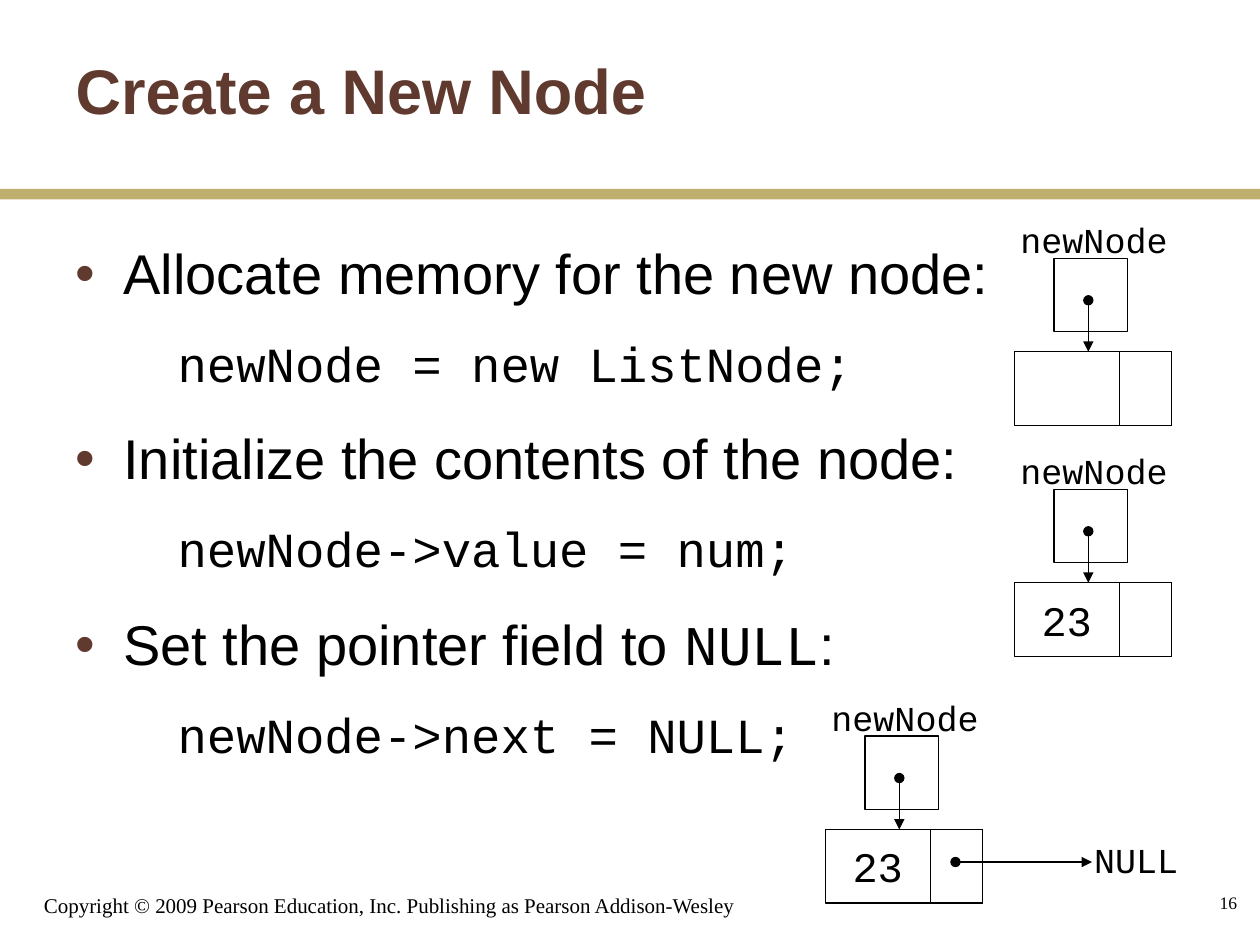
import pptx
import pptx.dml.color
import pptx.enum.shapes
import pptx.enum.text
import pptx.oxml
import pptx.oxml.ns
import pptx.util

COLORS = {"ink": "000000", "brown": "603A2F", "gold": "BFAF6F"}
SANS, MONO, SERIF = "Arial", "Courier New", "Times New Roman"
COLUMNS, ROWS = 120, 90
ALIGN = pptx.enum.text.PP_ALIGN
ANCHOR = pptx.enum.text.MSO_ANCHOR
FIT = pptx.enum.text.MSO_AUTO_SIZE


def color(name):
    return pptx.dml.color.RGBColor.from_string(COLORS[name])


def apply(target, values):
    for name, value in values.items():
        setattr(target, name, value)


def add_xml(parent, tag, content=""):
    namespace = pptx.oxml.ns.nsdecls("a")
    parent.append(pptx.oxml.parse_xml(f"<a:{tag} {namespace} {content}/>"))


class SlideBuilder:
    def __init__(self, deck):
        self.deck = deck
        self.page = deck.slides.add_slide(deck.slide_layouts[1])
        self.shapes = self.page.shapes

    def x(self, columns):
        return round(self.deck.slide_width * columns / COLUMNS)

    def y(self, rows):
        return round(self.deck.slide_height * rows / ROWS)

    def area(self, left, top, width, height):
        return self.x(left), self.y(top), self.x(width), self.y(height)

    def start_group(self):
        self.shapes = self.page.shapes.add_group_shape().shapes

    def end_group(self):
        self.shapes = self.page.shapes

    def add_span(self, para, text, font, size, ink="ink", bold=False):
        span = para.add_run()
        span.text = text
        apply(span.font, {"name": font, "size": pptx.util.Pt(size), "bold": bold})
        span.font.color.rgb = color(ink)

    def place(self, holder, area, anchor):
        apply(holder, dict(zip(("left", "top", "width", "height"), self.area(*area))))
        apply(holder.text_frame, {"vertical_anchor": anchor, "auto_size": FIT.NONE})
        return holder.text_frame

    def title(self, text, area):
        frame = self.place(self.page.shapes.title, area, ANCHOR.MIDDLE)
        para = frame.paragraphs[0]
        para.alignment = ALIGN.LEFT
        self.add_span(para, text, SANS, 36, "brown", True)

    def steps(self, items, area):
        frame = self.place(self.page.placeholders[1], area, ANCHOR.TOP)
        for index, (spans, code) in enumerate(items):
            para = frame.paragraphs[0] if index == 0 else frame.add_paragraph()
            self.format_step(para, 0, 0 if index == 0 else 22, 0.38, -0.38)
            properties = para._p.get_or_add_pPr()
            properties.append(pptx.oxml.parse_xml(
                f'<a:buClr {pptx.oxml.ns.nsdecls("a")}>'
                f'<a:srgbClr val="{COLORS["brown"]}"/></a:buClr>'))
            add_xml(properties, "buChar", 'char="•"')
            for text, font in spans:
                self.add_span(para, text, font, 32)
            para = frame.add_paragraph()
            self.format_step(para, 1, 19.2, 0.81, 0)
            add_xml(para._p.get_or_add_pPr(), "buNone")
            self.add_span(para, code, MONO, 28)

    def format_step(self, para, level, before, margin, indent):
        apply(para, {"level": level, "line_spacing": 0.9,
                     "space_before": pptx.util.Pt(before), "alignment": ALIGN.LEFT})
        properties = para._p.get_or_add_pPr()
        properties.set("marL", str(pptx.util.Inches(margin)))
        properties.set("indent", str(pptx.util.Inches(indent)))

    def label(self, text, area, font=MONO, size=20, spacing=1.0, wrap=False,
              align=ALIGN.CENTER, anchor=ANCHOR.TOP):
        box = self.shapes.add_textbox(*self.area(*area))
        apply(box.text_frame, {"word_wrap": wrap, "vertical_anchor": anchor,
                               "auto_size": FIT.NONE if wrap else FIT.SHAPE_TO_FIT_TEXT})
        para = box.text_frame.paragraphs[0]
        apply(para, {"alignment": align, "line_spacing": spacing})
        self.add_span(para, text, font, size)

    def rectangle(self, area, fill=None):
        box = self.shapes.add_shape(
            pptx.enum.shapes.MSO_SHAPE.RECTANGLE, *self.area(*area))
        box.shadow.inherit = False
        if fill:
            box.fill.solid()
            box.fill.fore_color.rgb = color(fill)
            box.line.fill.background()
        else:
            box.fill.background()
            box.line.color.rgb = color("ink")
            box.line.width = pptx.util.Pt(0.75)

    def pointer(self, left, top, right, bottom):
        arrow = self.shapes.add_connector(
            pptx.enum.shapes.MSO_CONNECTOR.STRAIGHT,
            self.x(left), self.y(top), self.x(right), self.y(bottom))
        arrow.line.color.rgb = color("ink")
        arrow.line.width = pptx.util.Pt(0.75)
        line = arrow.line._get_or_add_ln()
        add_xml(line, "headEnd", 'type="oval"')
        add_xml(line, "tailEnd", 'type="triangle"')
        add_xml(arrow._element.spPr, "effectLst")

    def node(self, left, top, value=None, successor=None):
        self.start_group()
        node_top = top + 12.5
        self.rectangle((left + 4.4, top + 3.6, 7, 7))
        self.rectangle((left + 0.6, node_top, 15, 7))
        self.rectangle((left + 10.6, node_top, 5, 7))
        self.pointer(left + 7.65, top + 7.6, left + 7.65, node_top)
        self.label("newNode", (left, top, 16.4, 4.4), spacing=0.8)
        if value:
            self.label(value, (left + 2, node_top + 0.5, 7.2, 6), size=24)
        if successor:
            middle = node_top + 3.1
            self.pointer(left + 13, middle, left + 26, middle)
            self.label(successor, (left + 25, middle - 3.6, 10.4, 6), spacing=1.2)
        self.end_group()


def main():
    deck = pptx.Presentation()
    deck.slide_width = pptx.util.Inches(10)
    deck.slide_height = pptx.util.Inches(7.5)
    builder = SlideBuilder(deck)

    builder.rectangle((0, 18, 120, 1), "gold")
    builder.title("Create a New Node", (6, 1, 100, 15))
    builder.steps([
        ([("Allocate memory for the new node:", SANS)], "newNode = new ListNode;"),
        ([("Initialize the contents of the node:", SANS)], "newNode->value = num;"),
        ([("Set the pointer field to ", SANS), ("NULL", MONO), (":", SANS)],
         "newNode->next = NULL;"),
    ], (6, 22.8, 102, 51.4))

    builder.node(96, 21)
    builder.node(96, 43, "23")
    builder.node(78, 66.5, "23", "NULL")

    builder.label(
        "Copyright © 2009 Pearson Education, Inc. Publishing as Pearson Addison-Wesley",
        (3, 83, 73, 5), SERIF, 12, wrap=True, align=ALIGN.LEFT, anchor=ANCHOR.BOTTOM)
    builder.label("16", (94, 83, 25, 6), SERIF, 10, wrap=True,
                  align=ALIGN.RIGHT, anchor=ANCHOR.MIDDLE)
    deck.save("out.pptx")


if __name__ == "__main__":
    main()
